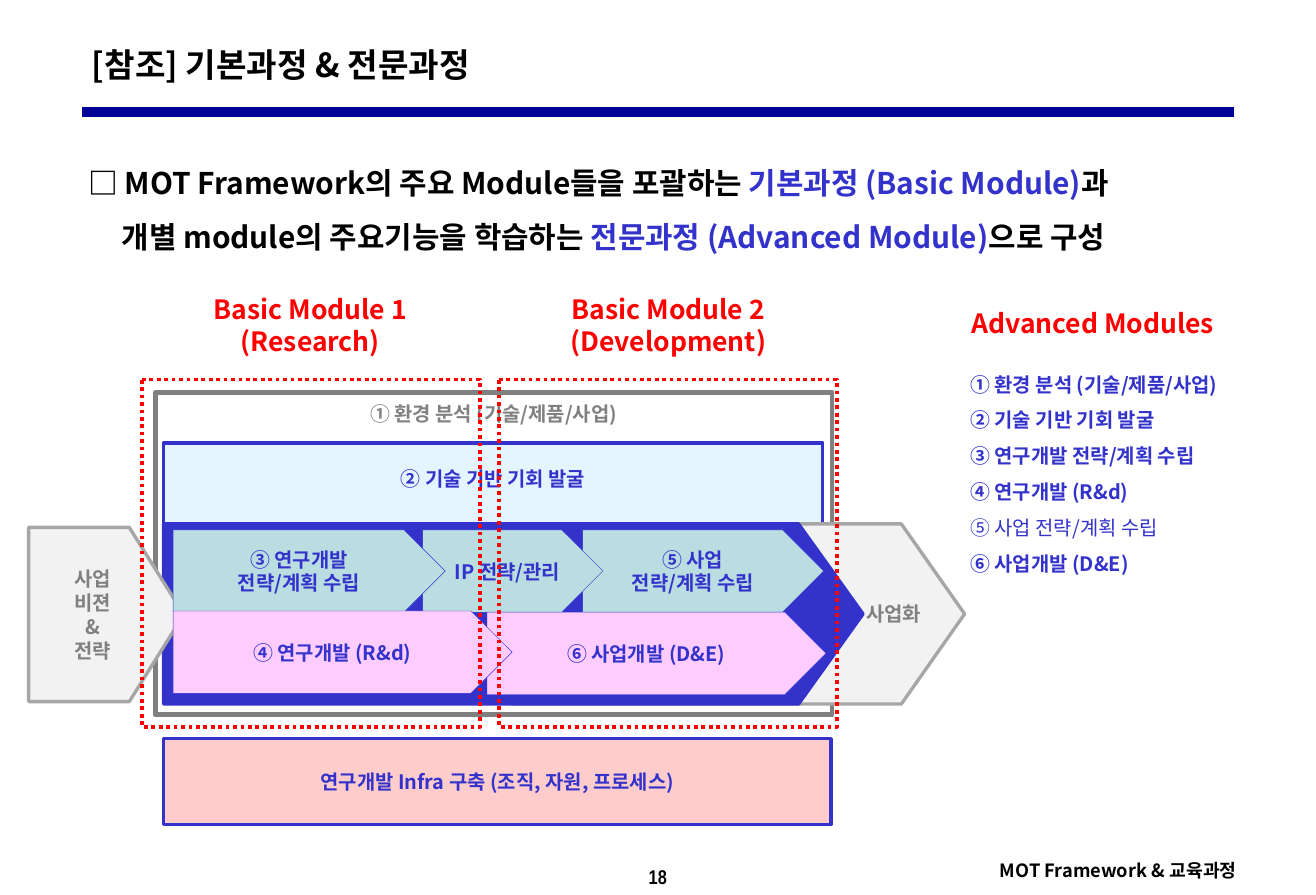
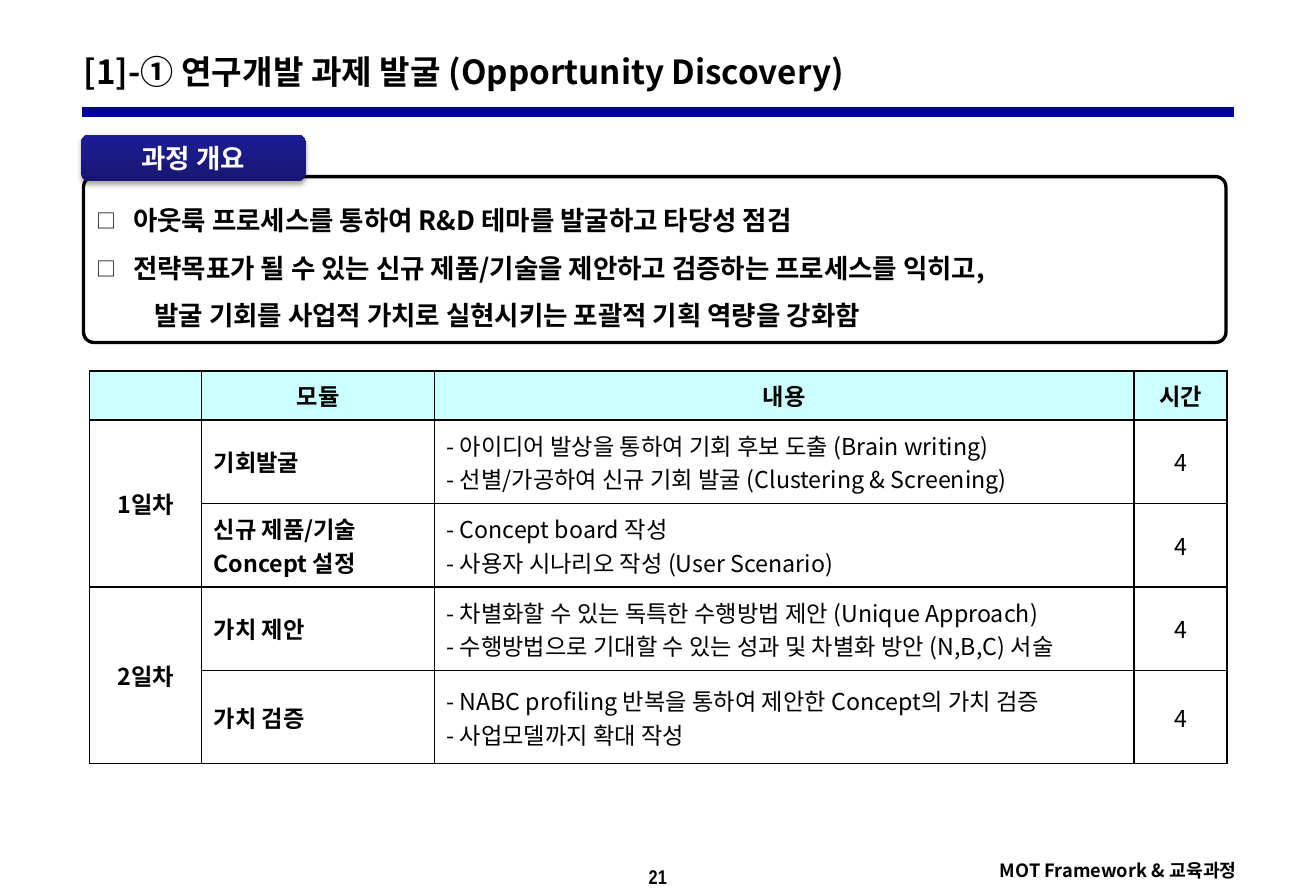
from dataclasses import dataclass
from typing import Optional

from lxml.etree import SubElement
from pptx import Presentation
from pptx.dml.color import RGBColor
from pptx.enum.dml import MSO_LINE
from pptx.enum.shapes import MSO_CONNECTOR, MSO_SHAPE
from pptx.enum.text import MSO_ANCHOR, MSO_AUTO_SIZE, PP_ALIGN
from pptx.oxml.ns import qn
from pptx.util import Inches, Pt

FONT = "Noto Sans CJK KR"
BLACK = RGBColor(0x00, 0x00, 0x00)
WHITE = RGBColor(0xFF, 0xFF, 0xFF)
NAVY = RGBColor(0x00, 0x00, 0x99)
BLUE = RGBColor(0x33, 0x33, 0xCC)
RED = RGBColor(0xFF, 0x00, 0x00)
GRAY = RGBColor(0x80, 0x80, 0x80)
MID_GRAY = RGBColor(0xA6, 0xA6, 0xA6)
PALE_GRAY = RGBColor(0xF2, 0xF2, 0xF2)
SKY = RGBColor(0xCC, 0xEC, 0xFF)
TEAL = RGBColor(0xBA, 0xDD, 0xE1)
ROSE = RGBColor(0xFF, 0xCC, 0xCC)
PINK = RGBColor(0xFF, 0xCC, 0xFF)
CYAN = RGBColor(0xCC, 0xFF, 0xFF)
TAB_DARK = RGBColor(0x17, 0x17, 0x71)
TAB_LIGHT = RGBColor(0x1C, 0x1C, 0x96)

RECT, ARROW = MSO_SHAPE.RECTANGLE, MSO_SHAPE.PENTAGON
LEFT, CENTER, RIGHT = PP_ALIGN.LEFT, PP_ALIGN.CENTER, PP_ALIGN.RIGHT
TOP, MIDDLE = MSO_ANCHOR.TOP, MSO_ANCHOR.MIDDLE


@dataclass
class Block:
    """A filled, outlined shape of the framework diagram."""
    at: tuple[float, float, float, float]
    lines: tuple[str, ...] = ()
    fill: Optional[RGBColor] = None
    line: RGBColor = BLUE
    width: float = 2
    kind: MSO_SHAPE = RECT
    adj: Optional[float] = None
    color: RGBColor = BLUE
    align: PP_ALIGN = CENTER
    anchor: MSO_ANCHOR = MIDDLE
    top: float = 0.05
    left: float = 0.1
    alpha: Optional[int] = None
    dash: bool = False


@dataclass
class Session:
    """One row of the course table; day is set on the first row of a day."""
    day: str
    module: str
    topics: tuple[str, ...]
    hours: str


def style(p, size: float, color: RGBColor = BLACK, bold: bool = True,
          align: PP_ALIGN = LEFT, spacing: Optional[float] = None,
          name: str = FONT) -> None:
    p.alignment = align
    if spacing:
        p.line_spacing = spacing
    f = p.font
    f.name, f.size, f.bold = name, Pt(size), bold
    f.color.rgb = color
    f._rPr.set("kern", "0")
    SubElement(f._rPr, qn("a:ea"), typeface=name)


def write(tf, lines, size: float, **look) -> None:
    """Fill a frame with one paragraph a line; a line is text or (text, color) runs."""
    for i, line in enumerate(lines):
        p = tf.paragraphs[0] if i == 0 else tf.add_paragraph()
        for text, color in [(line, None)] if isinstance(line, str) else line:
            r = p.add_run()
            r.text = text
            if color is not None:
                r.font.color.rgb = color
        style(p, size, **look)


def indent(p, margin: float, bullet: str = "") -> None:
    pPr = p._p.get_or_add_pPr()
    pPr.set("marL", str(Inches(margin)))
    pPr.set("indent", str(Inches(-margin if bullet else 0)))
    marks = [("a:buNone", {})]
    if bullet:
        marks = [("a:buSzPct", {"val": "75000"}), ("a:buFont", {"typeface": FONT}),
                 ("a:buChar", {"char": bullet})]
    for tag, attrs in marks:
        pPr.insert_element_before(pPr.makeelement(qn(tag), attrs),
                                  "a:tabLst", "a:defRPr", "a:extLst")


def text_box(slide, at, lines, size: float, wrap: bool = True, inset: bool = True, **look):
    sp = slide.shapes.add_textbox(*map(Inches, at))
    tf = sp.text_frame
    tf.word_wrap = wrap
    if not inset:
        tf.margin_left = tf.margin_right = tf.margin_top = tf.margin_bottom = 0
    write(tf, lines, size, **look)
    return sp


def draw_block(slide, b: Block):
    sp = slide.shapes.add_shape(b.kind, *map(Inches, b.at))
    sp.shadow.inherit = False
    if b.adj is not None:
        sp.adjustments[0] = b.adj
    if b.fill is None:
        sp.fill.background()
    else:
        sp.fill.solid()
        sp.fill.fore_color.rgb = b.fill
    if b.alpha:
        clr = sp._element.spPr.find(qn("a:solidFill"))[0]
        SubElement(clr, qn("a:alpha"), val=str(b.alpha * 1000))
    sp.line.color.rgb = b.line
    sp.line.width = Pt(b.width)
    if b.dash:
        sp.line.dash_style = MSO_LINE.ROUND_DOT
    tf = sp.text_frame
    tf.word_wrap = True
    tf.vertical_anchor = b.anchor
    tf.margin_top, tf.margin_left = Inches(b.top), Inches(b.left)
    write(tf, b.lines, 12, color=b.color, align=b.align)
    return sp


def new_slide(prs, title: str, at, page: str):
    """Add a slide with the shared title, rule, page number and footer."""
    slide = prs.slides.add_slide(prs.slide_layouts[5])
    text_box(slide, (0, 7.12, 11.02, 0.38), [page], 12, align=CENTER, spacing=1.4,
             name="Arial Narrow")
    rule = slide.shapes.add_connector(MSO_CONNECTOR.STRAIGHT, Inches(0.69), Inches(0.94),
                                      Inches(10.34), Inches(0.94))
    rule.line.color.rgb = NAVY
    rule.line.width = Pt(6)
    SubElement(rule._element.spPr, qn("a:effectLst"))
    text_box(slide, (8.27, 7.11, 2.09, 0.24), ["MOT Framework & 교육과정"], 11,
             wrap=False, inset=False, align=RIGHT, spacing=1.5)
    sp = slide.shapes.title
    sp.left, sp.top, sp.width, sp.height = map(Inches, at)
    tf = sp.text_frame
    tf.auto_size = MSO_AUTO_SIZE.NONE
    tf.vertical_anchor = MIDDLE
    write(tf, [title], 20)
    return slide


def step(x: float, y: float, w: float, fill: RGBColor, *lines: str, left: float = 0.1) -> Block:
    return Block((x, y, w, 0.69), lines, fill, width=0.25, kind=ARROW, left=left)


def framework_slide(prs) -> None:
    slide = new_slide(prs, "[참조] 기본과정 & 전문과정", (0.67, 0.32, 10.08, 0.44), "18")

    # Framework diagram, back to front
    blocks = [
        Block((1.3, 3.29, 5.67, 2.7), ("① 환경 분석 (기술/제품/사업)",), WHITE, GRAY, 3,
              color=GRAY, anchor=TOP, top=0.08),
        Block((1.37, 3.71, 5.52, 0.93), ("② 기술 기반 기회 발굴",), SKY, width=2.25,
              anchor=TOP, top=0.2, alpha=50),
        Block((4.29, 4.39, 3.79, 1.51), ("사업화",), PALE_GRAY, MID_GRAY, kind=ARROW,
              adj=0.351, color=GRAY, align=RIGHT),
        Block((1.37, 6.19, 5.59, 0.72), ("연구개발 Infra 구축 (조직, 자원, 프로세스)",), ROSE),
        Block((1.37, 4.39, 5.86, 1.51), (), BLUE, kind=ARROW, adj=0.358),
        Block((0.24, 4.42, 1.3, 1.46), ("사업", "비젼", "&", "전략"), PALE_GRAY, MID_GRAY,
              kind=ARROW, adj=0.351, color=GRAY),
        step(4.88, 4.44, 2.02, TEAL, "⑤ 사업", "전략/계획 수립"),
        step(3.54, 4.44, 1.51, TEAL, "IP 전략/관리", left=0.18),
        step(1.45, 4.44, 2.28, TEAL, "③ 연구개발", "전략/계획 수립"),
        step(4.08, 5.13, 2.84, PINK, "⑥ 사업개발 (D&E)"),
        step(1.45, 5.12, 2.84, PINK, "④ 연구개발 (R&d)"),
    ]
    # Dotted frames of the two basic modules
    blocks += [Block((x, 3.18, 2.83, 2.91), line=RED, width=2.25, dash=True,
                     kind=MSO_SHAPE.SNIP_1_RECTANGLE, adj=0) for x in (1.19, 4.18)]
    for b in blocks:
        draw_block(slide, b)

    # Module headings
    for at, lines in [
        ((1.68, 2.41, 1.84, 0.64), ("Basic Module 1", "(Research)")),
        ((4.67, 2.41, 1.86, 0.64), ("Basic Module 2", "(Development)")),
        ((8.03, 2.52, 2.25, 0.37), ("Advanced Modules",)),
    ]:
        text_box(slide, at, lines, 16, wrap=False, color=RED, align=CENTER)

    # Advanced module list
    modules = ["① 환경 분석 (기술/제품/사업)", "② 기술 기반 기회 발굴", "③ 연구개발 전략/계획 수립",
               "④ 연구개발 (R&d)", "⑤ 사업 전략/계획 수립", "⑥ 사업개발 (D&E)"]
    sp = text_box(slide, (8.03, 2.97, 2.56, 1.88), modules, 12, color=BLUE, spacing=1.5)
    sp.text_frame.paragraphs[4].font.bold = False

    # Key message
    message = [
        [("□ MOT Framework의 주요 Module들을 포괄하는 ", None),
         ("기본과정 (Basic Module)", BLUE), ("과", None)],
        [("개별 module의 주요기능을 학습하는 ", None),
         ("전문과정 (Advanced Module)", BLUE), ("으로 구성", None)],
    ]
    sp = text_box(slide, (0.58, 1.18, 9.69, 1.02), message, 18, spacing=1.5)
    for p, margin in zip(sp.text_frame.paragraphs, (0.06, 0.34)):
        indent(p, margin)


def set_cell(cell, lines, fill: Optional[RGBColor] = None, **look) -> None:
    tcPr = cell._tc.get_or_add_tcPr()
    for side in ("a:lnL", "a:lnR", "a:lnT", "a:lnB"):
        ln = SubElement(tcPr, qn(side), w=str(Pt(1)))
        SubElement(SubElement(ln, qn("a:solidFill")), qn("a:srgbClr"), val=str(BLACK))
    if fill is None:
        cell.fill.background()
    else:
        cell.fill.solid()
        cell.fill.fore_color.rgb = fill
    cell.vertical_anchor = MIDDLE
    write(cell.text_frame, lines, 14, **look)


def course_table(slide, sessions: list[Session]) -> None:
    widths, heights = (0.94, 1.95, 5.86, 0.78), (0.41, 0.7, 0.7, 0.7, 0.78)
    table = slide.shapes.add_table(len(heights), len(widths), Inches(0.75), Inches(3.11),
                                   Inches(sum(widths)), Inches(sum(heights))).table
    table.first_row = table.horz_banding = False
    for col, w in zip(table.columns, widths):
        col.width = Inches(w)
    for row, h in zip(table.rows, heights):
        row.height = Inches(h)
    for c, head in enumerate(("", "모듈", "내용", "시간")):
        set_cell(table.cell(0, c), [head] if head else [], CYAN, align=CENTER)
    for r, s in enumerate(sessions, 1):
        set_cell(table.cell(r, 0), [s.day] if s.day else [], align=CENTER)
        set_cell(table.cell(r, 1), [s.module])
        set_cell(table.cell(r, 2), [f"- {t}" for t in s.topics], bold=False)
        set_cell(table.cell(r, 3), [s.hours], bold=False, align=CENTER)
    for r in (1, 3):
        table.cell(r, 0).merge(table.cell(r + 1, 0))


def course_slide(prs) -> None:
    slide = new_slide(prs, "[1]-① 연구개발 과제 발굴 (Opportunity Discovery)",
                      (0.6, 0.34, 9.68, 0.52), "21")

    # Overview panel
    sp = draw_block(slide, Block((0.7, 1.48, 9.57, 1.39), fill=WHITE, line=BLACK,
                                 kind=MSO_SHAPE.ROUNDED_RECTANGLE, adj=0.063,
                                 top=0.04, left=0.08))
    tf = sp.text_frame
    tf.margin_right, tf.margin_bottom = Inches(0.08), Inches(0.04)
    write(tf, ["아웃룩 프로세스를 통하여 R&D 테마를 발굴하고 타당성 점검",
               "전략목표가 될 수 있는 신규 제품/기술을 제안하고 검증하는 프로세스를 익히고,",
               "발굴 기회를 사업적 가치로 실현시키는 포괄적 기획 역량을 강화함"], 16, spacing=1.5)
    for p, (margin, bullet) in zip(tf.paragraphs, [(0.31, "□"), (0.31, "□"), (0.49, "")]):
        indent(p, margin, bullet)

    # Course table
    course_table(slide, [
        Session("1일차", "기회발굴", ("아이디어 발상을 통하여 기회 후보 도출 (Brain writing)",
                                "선별/가공하여 신규 기회 발굴 (Clustering & Screening)"), "4"),
        Session("", "신규 제품/기술 Concept 설정", ("Concept board 작성",
                                             "사용자 시나리오 작성 (User Scenario)"), "4"),
        Session("2일차", "가치 제안", ("차별화할 수 있는 독특한 수행방법 제안 (Unique Approach)",
                                 "수행방법으로 기대할 수 있는 성과 및 차별화 방안 (N,B,C) 서술"), "4"),
        Session("", "가치 검증", ("NABC profiling 반복을 통하여 제안한 Concept의 가치 검증",
                              "사업모델까지 확대 작성"), "4"),
    ])

    # Overview tab with gradient and soft shadow
    tab = draw_block(slide, Block((0.68, 1.13, 1.88, 0.39), kind=MSO_SHAPE.ROUNDED_RECTANGLE))
    tab.line.fill.background()
    tab.fill.gradient()
    tab.fill.gradient_angle = 90
    for stop, color in zip(tab.fill.gradient_stops, (TAB_DARK, TAB_LIGHT)):
        stop.color.rgb = color
    effects = tab._element.spPr.find(qn("a:effectLst"))
    shadow = SubElement(effects, qn("a:outerShdw"), blurRad=str(Pt(3.1)), dist=str(Pt(1.8)),
                        dir="5400000", rotWithShape="0")
    clr = SubElement(shadow, qn("a:srgbClr"), val=str(BLACK))
    SubElement(clr, qn("a:alpha"), val="35000")
    write(tab.text_frame, ["과정 개요"], 16, color=WHITE, align=CENTER)


def main() -> None:
    prs = Presentation()
    # Page of 28 cm by 7.5 inches
    prs.slide_width, prs.slide_height = Inches(28 / 2.54), Inches(7.5)
    prs.element.sldSz.attrib.pop("type", None)
    framework_slide(prs)
    course_slide(prs)
    prs.save("out.pptx")


if __name__ == "__main__":
    main()
